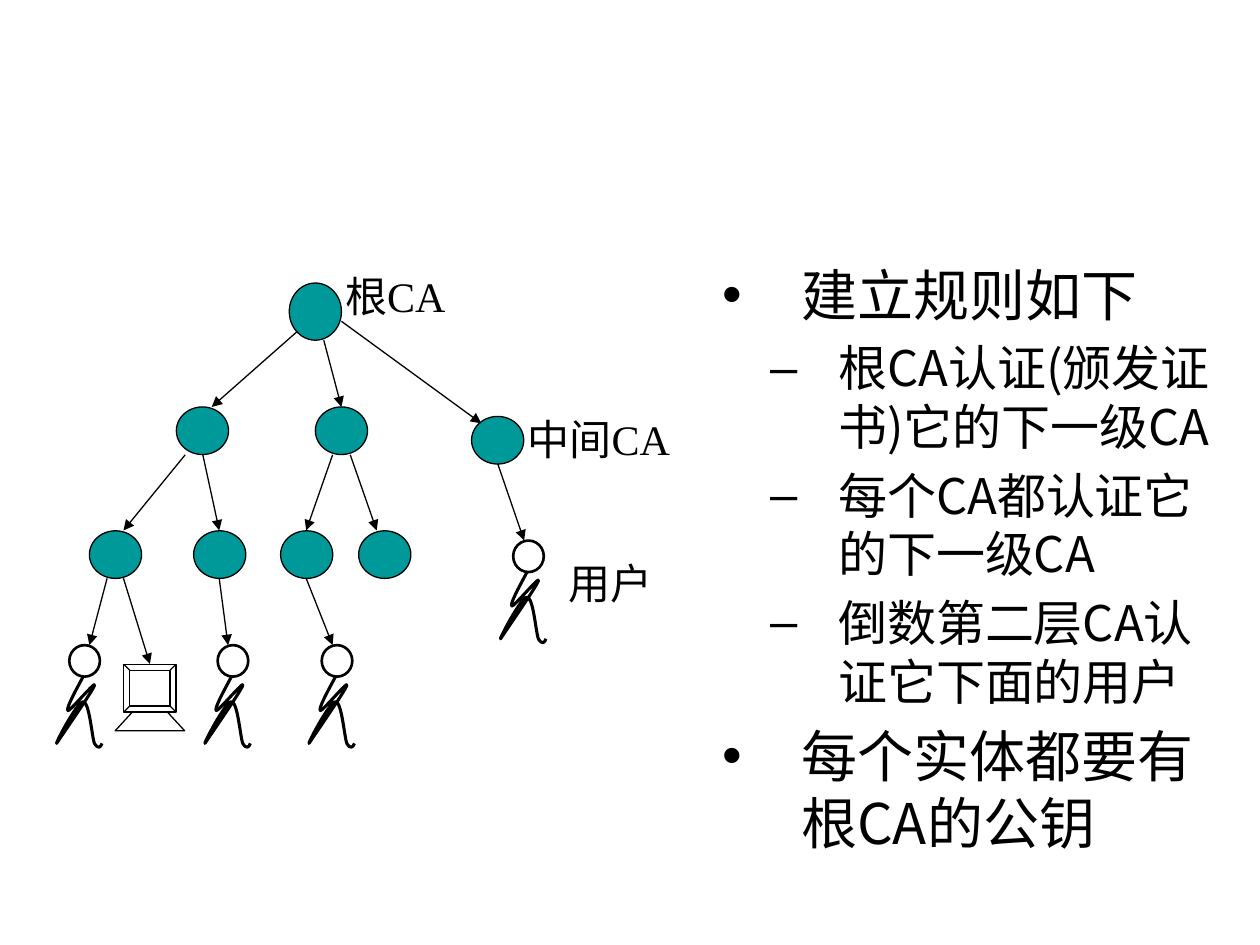
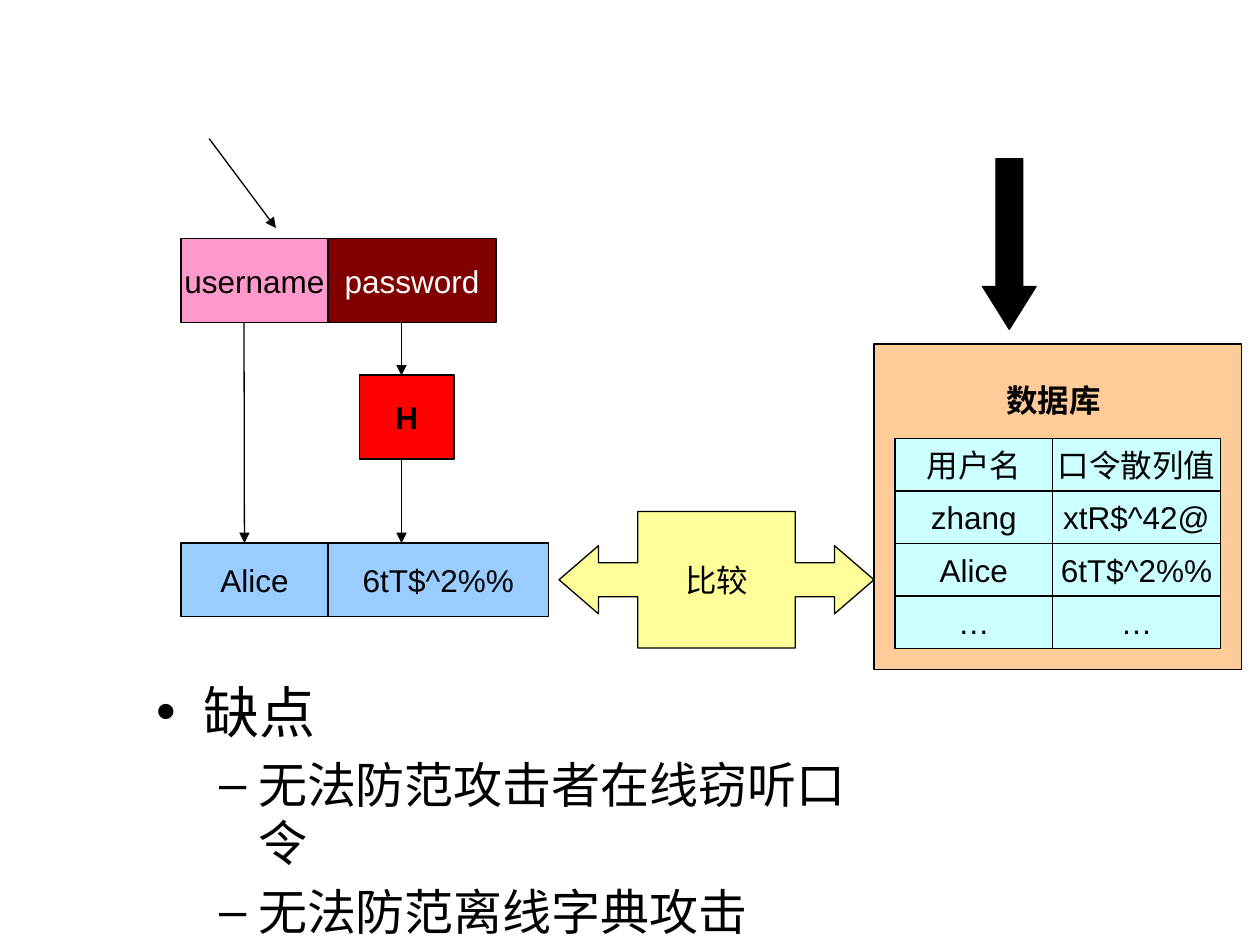
from dataclasses import dataclass
from typing import NamedTuple

import lxml.etree
import pptx
import pptx.dml.color
import pptx.enum.shapes
import pptx.enum.text
import pptx.oxml
import pptx.oxml.ns
import pptx.util

KIND = pptx.enum.shapes.MSO_SHAPE
ALIGN = pptx.enum.text.PP_ALIGN
MID = pptx.enum.text.MSO_ANCHOR.MIDDLE
qn = pptx.oxml.ns.qn

COLS, ROWS = 100, 75
WIDE, HIGH = pptx.util.Inches(10), pptx.util.Inches(7.5)


@dataclass(frozen=True)
class Theme:
    black: str = "000000"
    white: str = "FFFFFF"
    teal: str = "009999"
    peach: str = "FFCC99"
    ice: str = "CCFFFF"
    wine: str = "800000"
    red: str = "FF0000"
    sky: str = "99CCFF"
    cream: str = "FFFF99"
    pink: str = "FF99CC"
    sans: str = "Arial"
    serif: str = "Times New Roman"
    han: str = "Noto Sans CJK SC"
    head: float = 32
    sub: float = 28
    label: float = 24
    small: float = 18
    thin: float = 0.75
    ring: float = 1.5
    limb: float = 1.75
    pitch: float = 1.2
    gap: float = 0.2


LOOK = Theme()


class Box(NamedTuple):
    x: float
    y: float
    w: float
    h: float


class Type(NamedTuple):
    size: float
    font: str = LOOK.sans
    color: str = LOOK.black
    bold: bool = False


class Block(NamedTuple):
    box: Box
    fill: str
    text: str = ""
    type: Type = Type(LOOK.small)
    kind: int = KIND.RECTANGLE
    bends: tuple = ()


class Label(NamedTuple):
    box: Box
    text: str
    type: Type
    wrap: bool = True
    align: int = ALIGN.LEFT


class Fan(NamedTuple):
    top: float
    end: float
    pairs: list


class Dent(NamedTuple):
    left: float
    hang: float
    mark: str
    size: float


def across(n: float) -> int:
    return round(WIDE * n / COLS)


def down(n: float) -> int:
    return round(HIGH * n / ROWS)


def place(box: Box) -> tuple:
    return across(box.x), down(box.y), across(box.w), down(box.h)


def tint(name: str):
    return pptx.dml.color.RGBColor.from_string(name)


def paint(shape, fill: str, width: float = LOOK.thin) -> None:
    shape.shadow.inherit = False
    if fill:
        shape.fill.solid()
        shape.fill.fore_color.rgb = tint(fill)
    else:
        shape.fill.background()
    shape.line.color.rgb = tint(LOOK.black)
    shape.line.width = pptx.util.Pt(width)


def write(para, text: str, kind: Type, align: int = ALIGN.LEFT) -> None:
    para.text = text
    para.alignment = align
    para.line_spacing = pptx.util.Pt(kind.size * LOOK.pitch)
    for run in para.runs:
        font = run.font
        font.size = pptx.util.Pt(kind.size)
        font.bold = kind.bold
        font.color.rgb = tint(kind.color)
        font.name = kind.font
        east = lxml.etree.SubElement(run._r.get_or_add_rPr(), qn("a:ea"))
        east.set("typeface", LOOK.han)


def block(slide, item: Block, width: float = LOOK.thin) -> None:
    shape = slide.shapes.add_shape(item.kind, *place(item.box))
    paint(shape, item.fill, width)
    for i, bend in enumerate(item.bends):
        shape.adjustments[i] = bend
    if item.text:
        frame = shape.text_frame
        frame.word_wrap = False
        frame.vertical_anchor = MID
        write(frame.paragraphs[0], item.text, item.type, ALIGN.CENTER)


def label(slide, item: Label) -> None:
    frame = slide.shapes.add_textbox(*place(item.box)).text_frame
    frame.word_wrap = item.wrap
    write(frame.paragraphs[0], item.text, item.type, item.align)


def arrow(slide, x: float, y: float, to_x: float, to_y: float) -> None:
    line = slide.shapes.add_connector(
        pptx.enum.shapes.MSO_CONNECTOR.STRAIGHT,
        across(x), down(y), across(to_x), down(to_y))
    line.line.color.rgb = tint(LOOK.black)
    line.line.width = pptx.util.Pt(LOOK.thin)
    tip = lxml.etree.SubElement(line.line._get_or_add_ln(), qn("a:tailEnd"))
    tip.set("type", "triangle")
    lxml.etree.SubElement(line._element.spPr, qn("a:effectLst"))


def trace(slide, dots: list, width: float, close: bool):
    spots = [(across(x), down(y)) for x, y in dots]
    build = slide.shapes.build_freeform(*spots[0], scale=1.0)
    build.add_line_segments(spots[1:], close=close)
    shape = build.convert_to_shape()
    paint(shape, "", width)
    return shape


def soften(shape) -> None:
    legs = list(shape._element.iter(qn("a:lnTo")))
    for i in range(0, len(legs), 3):
        bend = lxml.etree.SubElement(legs[i].getparent(), qn("a:cubicBezTo"))
        for leg in legs[i:i + 3]:
            bend.append(leg[0])
            leg.getparent().remove(leg)


LIMBS = [
    (1.1, 2.5), (0.4, 3.8), (-0.3, 5.1), (-0.1, 5.2),
    (0, 5.3), (2.2, 2.7), (2, 3.2), (1.9, 3.6), (-0.9, 7.6), (-1, 7.8),
    (-1.2, 8), (0.6, 4.5), (1.1, 4.5), (1.6, 4.5), (1.8, 7.3), (2, 7.8),
    (2.3, 8.3), (2.5, 8.1), (2.6, 7.8)]


def person(slide, x: float, y: float) -> None:
    block(slide, Block(Box(x, y, 2.43, 2.5), "", kind=KIND.OVAL), LOOK.ring)
    soften(trace(slide, [(x + a, y + b) for a, b in LIMBS], LOOK.limb, False))


def outline(slide, box: Box, font: str, dents: list, lines: list) -> None:
    frame = slide.shapes.add_textbox(*place(box)).text_frame
    frame.word_wrap = True
    for i, (level, text) in enumerate(lines):
        para = frame.add_paragraph() if i else frame.paragraphs[0]
        dent = dents[level]
        props = para._p.get_or_add_pPr()
        props.set("marL", str(across(dent.left)))
        props.set("indent", str(-across(dent.hang)))
        lxml.etree.SubElement(props, qn("a:buFont")).set("typeface", LOOK.sans)
        lxml.etree.SubElement(props, qn("a:buChar")).set("char", dent.mark)
        para.level = level
        write(para, text, Type(dent.size, font))
        para.space_before = pptx.util.Pt(dent.size * LOOK.gap if i else 0)


def cells(slide, x: float, y: float, widths: list, high: float, data: list) -> None:
    for r, line in enumerate(data):
        for c, text in enumerate(line):
            box = Box(x + sum(widths[:c]), y + r * high, widths[c], high)
            block(slide, Block(box, LOOK.ice, text))


def tree(slide) -> None:
    nodes = [Box(22.96, 22.46, 4.14, 4.54), Box(37.43, 33.05, 4.14, 3.78)]
    nodes += [Box(x, 32.3, 4.14, 3.78) for x in (14, 25.03)]
    nodes += [Box(x, 42.13, 4.14, 3.78) for x in (7.1, 15.37, 22.27, 28.47)]
    for node in nodes:
        block(slide, Block(node, LOOK.teal, kind=KIND.OVAL))
    fans = [
        Fan(26.3, 32.3, [(23.6, 16.8)]),
        Fan(27, 32.3, [(25.7, 27.1)]),
        Fan(25.5, 33.6, [(27.1, 38.2)]),
        Fan(36.1, 42.1, [(14.7, 9.8), (16.1, 17.4), (26.4, 24.3), (27.8, 29.9)]),
        Fan(36.8, 42.9, [(39.5, 41.6)]),
        Fan(45.9, 51.2, [(8.5, 7.1), (17.4, 18.1), (24.3, 26.4)]),
        Fan(45.9, 52.7, [(9.8, 11.9)])]
    for fan in fans:
        for x, to_x in fan.pairs:
            arrow(slide, x, fan.top, to_x, fan.end)
    for x, y in ((5.5, 51.2), (17.27, 51.2), (25.53, 51.2), (40.73, 42.9)):
        person(slide, x, y)
    block(slide, Block(Box(9.83, 52.73, 4.14, 3.78), "", kind=KIND.BEVEL))
    trace(slide, [(9.14, 58), (10.52, 56.5), (13.28, 56.5), (14.66, 58)],
          LOOK.thin, True)
    serif = Type(LOOK.label, LOOK.serif)
    label(slide, Label(Box(26.4, 21, 13.8, 5), "根CA", serif))
    label(slide, Label(Box(40.9, 32.3, 13.8, 5), "中间CA", serif))
    label(slide, Label(Box(44.15, 43.75, 8.7, 5), "用户", Type(LOOK.label), False))
    dents = [Dent(6.25, 6.25, "•", LOOK.head), Dent(9.2, 5.4, "–", LOOK.sub)]
    outline(slide, Box(56.35, 20.2, 41.7, 45.7), LOOK.han, dents, [
        (0, "建立规则如下"),
        (1, "根CA认证(颁发证书)它的下一级CA"),
        (1, "每个CA都认证它的下一级CA"),
        (1, "倒数第二层CA认证它下面的用户"),
        (0, "每个实体都要有根CA的公钥")])


def login(slide) -> None:
    pale = Type(LOOK.small, color=LOOK.white)
    bold = Type(LOOK.small, bold=True)
    block(slide, Block(Box(69.37, 27.29, 29.17, 25.83), LOOK.peach))
    cells(slide, 71.04, 34.79, [12.5, 13.33], 4.17, [
        ("用户名", "口令散列值"), ("zhang", "xtR$^42@"),
        ("Alice", "6tT$^2%%"), ("…", "…")])
    label(slide, Label(Box(76, 29.75, 15.2, 4), "数据库", bold, align=ALIGN.CENTER))
    blocks = [
        Block(Box(26.04, 18.94, 13.33, 6.67), LOOK.wine, "password", pale),
        Block(Box(28.54, 29.77, 7.5, 6.67), LOOK.red, "H", bold),
        Block(Box(26.04, 43.1, 17.5, 5.83), LOOK.sky, "6tT$^2%%"),
        Block(Box(44.37, 40.6, 25, 10.83), LOOK.cream, "比较",
              kind=KIND.LEFT_RIGHT_ARROW_CALLOUT, bends=(0.25, 0.25, 0.29, 0.5)),
        Block(Box(14.37, 18.94, 11.67, 6.67), LOOK.pink, "username"),
        Block(Box(14.37, 43.1, 11.67, 5.83), LOOK.sky, "Alice"),
        Block(Box(77.98, 12.6, 4.25, 13.54), LOOK.black,
              kind=KIND.DOWN_ARROW, bends=(0.5, 0.8))]
    for item in blocks:
        block(slide, item)
    for ends in ((16.6, 11, 21.9, 18.1), (19.37, 25.6, 19.4, 43.1),
                 (31.87, 25.6, 31.87, 29.8), (31.87, 36.4, 31.87, 43.1)):
        arrow(slide, *ends)
    dents = [Dent(3.8, 3.8, "•", LOOK.head), Dent(8.1, 3.1, "–", LOOK.sub)]
    outline(slide, Box(11.4, 53.25, 59.1, 16.5), LOOK.sans, dents, [
        (0, "缺点"),
        (1, "无法防范攻击者在线窃听口令"),
        (1, "无法防范离线字典攻击")])


def main() -> None:
    deck = pptx.Presentation()
    deck.slide_width, deck.slide_height = WIDE, HIGH
    for draw in (tree, login):
        draw(deck.slides.add_slide(deck.slide_layouts[6]))
    deck.save("out.pptx")


if __name__ == "__main__":
    main()
